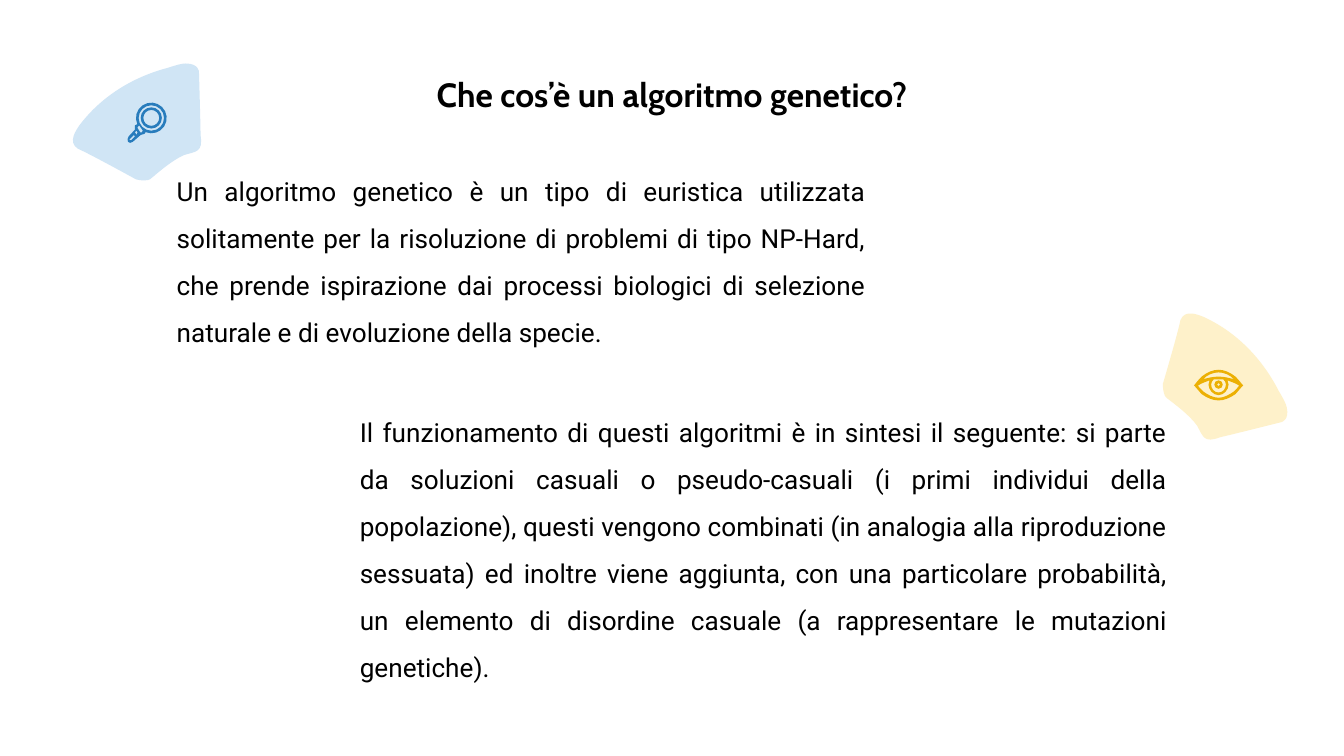
from collections import namedtuple
from itertools import chain
from math import cos, pi, radians, sin, tan

from pptx import Presentation
from pptx.dml.color import RGBColor
from pptx.enum.text import MSO_ANCHOR as Anchor
from pptx.enum.text import MSO_AUTO_SIZE as AutoSize
from pptx.enum.text import PP_ALIGN as Align
from pptx.oxml.ns import qn
from pptx.util import Cm, Pt

BLACK = RGBColor(0x00, 0x00, 0x00)
PALE_BLUE = RGBColor(0xD0, 0xE5, 0xF5)
BLUE = RGBColor(0x28, 0x7C, 0xBC)
PALE_YELLOW = RGBColor(0xFE, 0xF1, 0xCA)
YELLOW = RGBColor(0xEC, 0xB0, 0x04)

Box = namedtuple("Box", "left top width height")

TITLE = "Che cos’è un algoritmo genetico?"
DEFINITION = (
    "Un algoritmo genetico è un tipo di euristica utilizzata solitamente per la "
    "risoluzione di problemi di tipo NP-Hard, che prende ispirazione dai processi "
    "biologici di selezione naturale e di evoluzione della specie."
)
OPERATION = (
    "Il funzionamento di questi algoritmi è in sintesi il seguente: si parte da "
    "soluzioni casuali o pseudo-casuali (i primi individui della popolazione), questi "
    "vengono combinati (in analogia alla riproduzione sessuata) ed inoltre viene "
    "aggiunta, con una particolare probabilità, un elemento di disordine casuale (a "
    "rappresentare le mutazioni genetiche)."
)


def lines(*points):
    """Return straight segments, one end point each."""
    return [(point,) for point in points]


def curves(*knots):
    """Return a start point, then cubic Bézier segments of three knots each."""
    return [knots[:1]] + [knots[i:i + 3] for i in range(1, len(knots), 3)]


def arc(center, radius, start=0.0, end=2 * pi):
    """Return a clockwise circular arc as four cubic segments."""
    step = (end - start) / 4
    pull = 4 / 3 * tan(step / 4)

    def knot(angle, lead):
        """Return the point on the circle, moved along its tangent by the lead."""
        x = cos(angle) - lead * sin(angle)
        y = sin(angle) + lead * cos(angle)
        return center[0] + radius * x, center[1] + radius * y

    knots = [knot(start, 0)]
    for index in range(4):
        angle = start + index * step
        knots += [knot(angle, pull), knot(angle + step, -pull), knot(angle + step, 0)]
    return curves(*knots)


def mirrored(axis, *half):
    """Complete a left half outline with its reflection across a vertical axis."""
    return curves(*half, *[(2 * axis - x, y) for x, y in half[-2::-1]])


def draw_outline(shapes, box, contours, color):
    """Draw closed contours, in centimetres from the box corner, as one filled shape."""
    builder = None
    for contour in contours:
        start, *rest = [(box.left + Cm(x), box.top + Cm(y)) for x, y in chain(*contour)]
        if builder is None:
            builder = shapes.build_freeform(*start, scale=1.0)
        else:
            builder.move_to(*start)
        builder.add_line_segments(rest, close=True)
    shape = builder.convert_to_shape()
    steps = iter(list(shape._element.iter(qn("a:lnTo"))))
    for segment in chain(*[contour[1:] for contour in contours]):
        first, *others = [next(steps) for _ in segment]
        if others:
            first.tag = qn("a:cubicBezTo")
        for other in others:
            first.append(other[0])
            other.getparent().remove(other)
    shape.shadow.inherit = False
    shape.fill.solid()
    shape.fill.fore_color.rgb = color
    shape.line.fill.background()
    return shape


def add_fan(page, box, color, angle):
    """Draw a rounded fan segment that fills its box and is turned by an angle."""
    outline = curves(
        (1.12, 0), (1.07, 0), (1.02, 0), (0.97, 0.05),
        (0.85, 0.15), (0.59, 0.38), (0.36, 0.48),
        (0.13, 0.55), (0, 0.53), (0.05, 0.86),
        (0.05, 1.06), (0.08, 2.05), (0.08, 2.05),
        (0.08, 2.05), (0.08, 2.21), (0.33, 2.21),
        (0.41, 2.21), (0.51, 2.18), (0.66, 2.13),
        (1.24, 1.98), (1.88, 1.65), (2.34, 1.04),
        (2.39, 0.96), (2.57, 0.73), (2.37, 0.6),
        (2.14, 0.5), (1.27, 0.02), (1.27, 0.02),
        (1.27, 0.02), (1.2, 0), (1.12, 0),
    )
    draw_outline(page.shapes, box, [outline], color).rotation = angle


def add_magnifier(page, box):
    """Draw the magnifying glass icon: a body with handle, and an inner ring."""
    icon = page.shapes.add_group_shape().shapes
    lens = (0.46, 0.29)
    body = arc(lens, 0.29, radians(156), radians(472)) + lines(
        (0.33, 0.59), (0.26, 0.61), (0.11, 0.74), (0.06, 0.76),
        (0.02, 0.74), (0.01, 0.69), (0.03, 0.64), (0.15, 0.51), (0.15, 0.43),
    )
    collar = lines((0.23, 0.43), (0.3, 0.53), (0.28, 0.56), (0.25, 0.56), (0.2, 0.48), (0.2, 0.46))
    neck = lines((0.18, 0.53), (0.2, 0.56), (0.18, 0.61), (0.15, 0.56))
    grip = lines((0.13, 0.61), (0.15, 0.64), (0.08, 0.71), (0.05, 0.71), (0.05, 0.69))
    draw_outline(icon, box, [body, arc(lens, 0.24), collar, neck, grip], BLUE)
    draw_outline(icon, box, [arc(lens, 0.2), arc(lens, 0.15)], BLUE)


def add_eye(page, box):
    """Draw the eye icon: a pupil ring inside an outlined eye."""
    icon = page.shapes.add_group_shape().shapes
    axis = 0.47
    pupil = (axis, 0.28)
    rim = mirrored(
        axis,
        (axis, 0), (0.36, 0), (0.25, 0.05), (0.15, 0.13),
        (0.08, 0.2), (0.03, 0.27), (0.02, 0.28),
        (0, 0.29), (0, 0.3), (0.02, 0.31),
        (0.03, 0.32), (0.08, 0.38), (0.15, 0.46),
        (0.25, 0.53), (0.36, 0.58), (axis, 0.58),
    )
    lid = mirrored(
        axis,
        (axis, 0.05), (0.36, 0.05), (0.25, 0.1), (0.18, 0.18),
        (0.28, 0.15), (0.37, 0.13), (axis, 0.13),
    )
    iris = mirrored(
        axis,
        (axis, 0.18), (0.44, 0.18), (0.41, 0.18), (0.38, 0.18),
        (0.35, 0.2), (0.33, 0.25), (0.33, 0.28),
        (0.33, 0.36), (0.39, 0.43), (axis, 0.43),
    )
    white = mirrored(
        axis,
        (axis, 0.53), (0.36, 0.53), (0.25, 0.46), (0.18, 0.41),
        (0.13, 0.36), (0.1, 0.33), (0.08, 0.3),
        (0.15, 0.25), (0.23, 0.23), (0.3, 0.2),
        (0.28, 0.23), (0.28, 0.25), (0.28, 0.28),
        (0.28, 0.38), (0.37, 0.48), (axis, 0.48),
    )
    draw_outline(icon, box, [arc(pupil, 0.08), arc(pupil, 0.03)], YELLOW)
    draw_outline(icon, box, [rim, lid, iris, white], YELLOW)


def style_paragraph(para, name, size, align):
    """Set the font and alignment of a paragraph."""
    para.alignment = align
    para.font.name, para.font.size = name, Pt(size)
    para.font.color.rgb = BLACK


def add_title(page, box):
    """Place and format the title placeholder."""
    title = page.shapes.title
    title.left, title.top, title.width, title.height = box
    frame = title.text_frame
    frame.text = TITLE
    frame.auto_size, frame.vertical_anchor = AutoSize.NONE, Anchor.TOP
    frame.margin_left = frame.margin_right = Cm(0.25)
    frame.margin_top = frame.margin_bottom = Cm(0.25)
    style_paragraph(frame.paragraphs[0], "Cabin", 18, Align.CENTER)
    frame.paragraphs[0].font.bold = True


def add_body(page, box, text, auto_size=AutoSize.NONE, margin=Cm(0)):
    """Add a justified block of body text."""
    frame = page.shapes.add_textbox(*box).text_frame
    frame.word_wrap, frame.auto_size = True, auto_size
    frame.text = text
    para = frame.paragraphs[0]
    style_paragraph(para, "Roboto", 14, Align.JUSTIFY)
    para.line_spacing, para.space_after = 1.5, Pt(6)
    para._p.get_or_add_pPr().set("marL", str(margin))


def main():
    """Build and save the slide."""
    deck = Presentation()
    deck.slide_width, deck.slide_height = Cm(25.4), Cm(14.29)
    page = deck.slides.add_slide(deck.slide_layouts[5])
    add_fan(page, Box(Cm(1.27), Cm(1.2), Cm(2.57), Cm(2.21)), PALE_BLUE, 180)
    add_title(page, Box(Cm(1.27), Cm(1.14), Cm(22.86), Cm(0.94)))
    add_body(page, Box(Cm(2.93), Cm(2.9), Cm(13.68), Cm(3.96)), DEFINITION, margin=Cm(0.16))
    add_body(page, Box(Cm(6.55), Cm(7.45), Cm(15.76), Cm(5.54)), OPERATION,
             AutoSize.SHAPE_TO_FIT_TEXT)
    add_magnifier(page, Box(Cm(2.4), Cm(1.94), Cm(0.79), Cm(0.76)))
    add_fan(page, Box(Cm(21.75), Cm(5.9), Cm(2.57), Cm(2.21)), PALE_YELLOW, 257.6)
    add_eye(page, Box(Cm(22.56), Cm(6.99), Cm(0.94), Cm(0.61)))
    deck.save("out.pptx")


if __name__ == "__main__":
    main()
